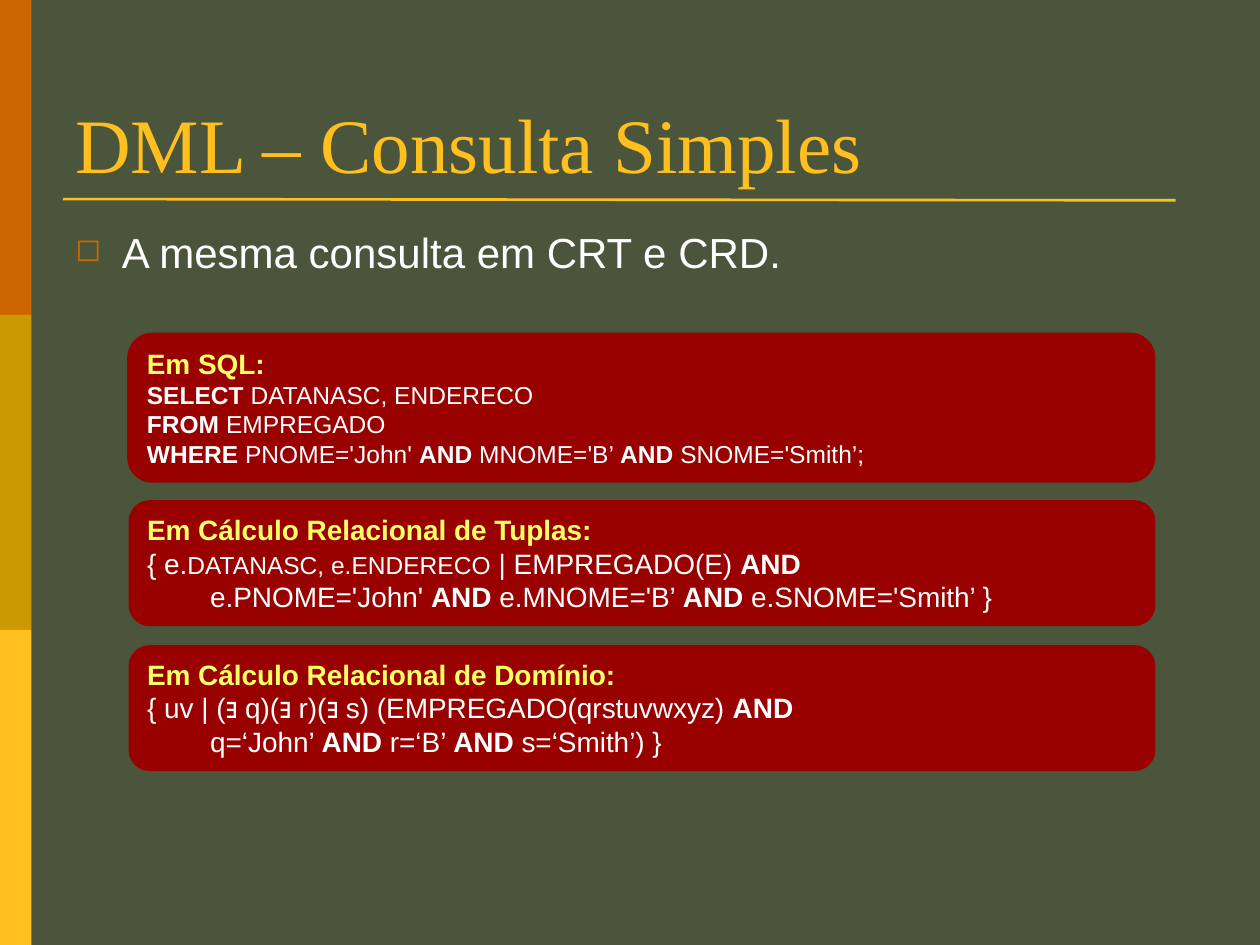
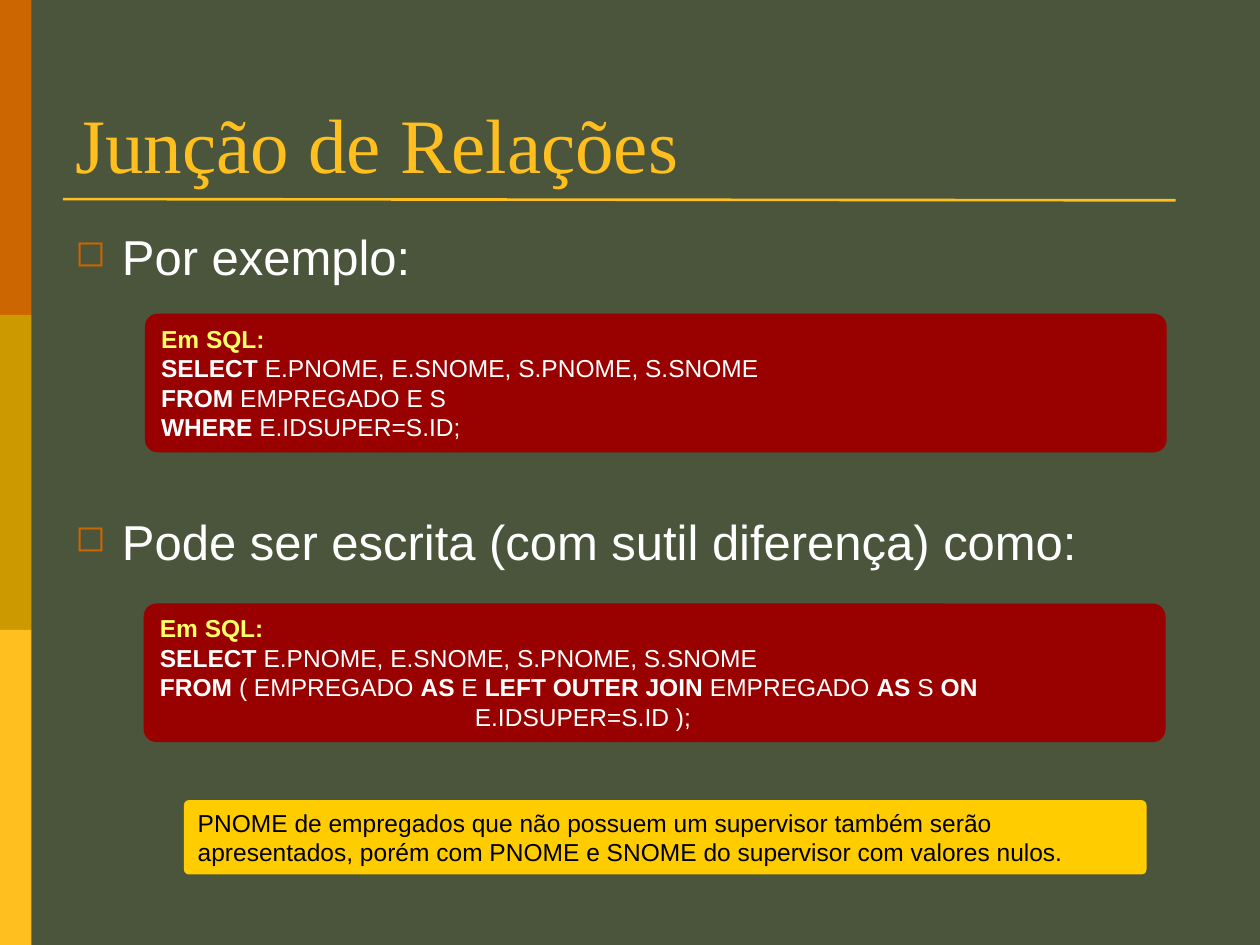
from dataclasses import dataclass
from typing import Any

import pptx
import pptx.dml.color
import pptx.enum.shapes
import pptx.enum.text
import pptx.oxml.ns
import pptx.util
from lxml import etree

Inches = pptx.util.Inches
Pt = pptx.util.Pt
MSO_SHAPE = pptx.enum.shapes.MSO_SHAPE
MSO_ANCHOR = pptx.enum.text.MSO_ANCHOR
qn = pptx.oxml.ns.qn

COLORS = {
    "background": "4A553B",
    "orange": "CC6600",
    "ochre": "CC9900",
    "gold": "FFBF1F",
    "code_box": "990000",
    "heading": "FFFF66",
    "note_box": "FFCC00",
    "white": "FFFFFF",
    "black": "000000",
}
BANDS = ("orange", "ochre", "gold")
BAND_HEIGHT = 2.5
FRAME_FORMAT = {
    "word_wrap": True,
    "margin_left": Inches(0.1),
    "margin_right": Inches(0.1),
    "margin_top": Inches(0.05),
    "margin_bottom": Inches(0.05),
}


@dataclass(frozen=True)
class Line:
    """Text in which * switches bold and ~ switches the small size."""
    text: str
    indent: float = 0


@dataclass(frozen=True)
class Box:
    left: float
    top: float
    width: float
    height: float
    corner: float
    size: int
    lines: tuple[Line, ...]
    heading: str = ""
    fill: str = "code_box"
    color: str = "white"
    code_size: int = 0


@dataclass(frozen=True)
class Bullet:
    text: str
    space_before: int = 0


@dataclass(frozen=True)
class Page:
    title: str
    bullet_size: int
    bullets: tuple[Bullet, ...]
    boxes: tuple[Box, ...]


def rgb(name: str) -> pptx.dml.color.RGBColor:
    return pptx.dml.color.RGBColor.from_string(COLORS[name])


def apply(obj: Any, values: dict[str, Any]) -> None:
    for name, value in values.items():
        setattr(obj, name, value)


def add_run(p: Any, text: str, size: int, color: str,
            bold: bool = False, font: str = "Arial") -> None:
    r = p.add_run()
    r.text = text
    apply(r.font, {"name": font, "size": Pt(size), "bold": bold})
    r.font.color.rgb = rgb(color)


def next_paragraph(tf: Any, index: int) -> Any:
    return tf.add_paragraph() if index else tf.paragraphs[0]


def add_shape(s: Any, kind: Any, left: float, top: float, width: float,
              height: float, fill: str) -> Any:
    sp = s.shapes.add_shape(kind, Inches(left), Inches(top),
                            Inches(width), Inches(height))
    sp.shadow.inherit = False
    sp.fill.solid()
    sp.fill.fore_color.rgb = rgb(fill)
    sp.line.fill.background()
    return sp


def add_text(s: Any, top: float, height: float, anchor: Any) -> Any:
    sp = s.shapes.add_textbox(Inches(0.5), Inches(top), Inches(9), Inches(height))
    apply(sp.text_frame, FRAME_FORMAT | {"vertical_anchor": anchor})
    return sp.text_frame


def add_frame(s: Any) -> None:
    """Background, side bands and the rule under the title."""
    s.background.fill.solid()
    s.background.fill.fore_color.rgb = rgb("background")
    for i, color in enumerate(BANDS):
        add_shape(s, MSO_SHAPE.RECTANGLE, 0, i * BAND_HEIGHT, 0.25, BAND_HEIGHT, color)
    rule = s.shapes.add_connector(pptx.enum.shapes.MSO_CONNECTOR.STRAIGHT,
                                  Inches(0.5), Inches(1.58), Inches(9.33), Inches(1.59))
    rule.line.color.rgb = rgb("gold")
    rule.line.width = Pt(1.5)
    etree.SubElement(rule._element.spPr, qn("a:effectLst"))


def set_bullet(p: Any) -> None:
    pPr = p._p.get_or_add_pPr()
    pPr.set("marL", str(Inches(0.37)))
    pPr.set("indent", str(-Inches(0.37)))
    color = etree.SubElement(pPr, qn("a:buClr"))
    etree.SubElement(color, qn("a:srgbClr"), val=COLORS["orange"])
    etree.SubElement(pPr, qn("a:buSzPct"), val="75000")
    etree.SubElement(pPr, qn("a:buChar"), char="◻")


def add_bullets(s: Any, bullets: tuple[Bullet, ...], size: int) -> None:
    tf = add_text(s, 1.75, 5.39, MSO_ANCHOR.TOP)
    for i, bullet in enumerate(bullets):
        p = next_paragraph(tf, i)
        set_bullet(p)
        if bullet.space_before:
            p.space_before = Pt(bullet.space_before)
        add_run(p, bullet.text, size, "white")


def add_line(p: Any, line: Line, size: int, color: str) -> None:
    if line.indent:
        p._p.get_or_add_pPr().set("marL", str(Inches(line.indent)))
    for i, chunk in enumerate(line.text.split("*")):
        for j, part in enumerate(chunk.split("~")):
            if part:
                add_run(p, part, 14 if j % 2 else size, color, bold=i % 2 == 1)


def add_box(s: Any, box: Box) -> None:
    sp = add_shape(s, MSO_SHAPE.ROUNDED_RECTANGLE, box.left, box.top,
                   box.width, box.height, box.fill)
    sp.adjustments[0] = box.corner
    tf = sp.text_frame
    apply(tf, FRAME_FORMAT | {"vertical_anchor": MSO_ANCHOR.TOP})
    heading = (Line(f"*{box.heading}*"),) if box.heading else ()
    for i, line in enumerate(heading + box.lines):
        p = next_paragraph(tf, i)
        p.alignment = pptx.enum.text.PP_ALIGN.LEFT
        if line in heading:
            add_line(p, line, box.size, "heading")
        else:
            add_line(p, line, box.code_size or box.size, box.color)


def add_page(prs: Any, page: Page) -> None:
    s = prs.slides.add_slide(prs.slide_layouts[6])
    add_frame(s)
    tf = add_text(s, 0.3, 1.25, MSO_ANCHOR.BOTTOM)
    add_run(tf.paragraphs[0], page.title, 44, "gold", font="Times New Roman")
    add_bullets(s, page.bullets, page.bullet_size)
    for box in page.boxes:
        add_box(s, box)


SELECT_NAMES = Line("*SELECT *E.PNOME, E.SNOME, S.PNOME, S.SNOME")

PAGES = (
    Page("DML – Consulta Simples", 24, (Bullet("A mesma consulta em CRT e CRD."),), (
        Box(1.01, 2.64, 8.16, 1.19, 0.167, 16, (
            Line("*SELECT *DATANASC, ENDERECO"),
            Line("*FROM *EMPREGADO"),
            Line("*WHERE* PNOME='John' *AND* MNOME='B’ *AND *SNOME='Smith’;"),
        ), "Em SQL:", code_size=14),
        Box(1.02, 3.97, 8.15, 1, 0.167, 16, (
            Line("{ e.~DATANASC, e.ENDERECO~ | EMPREGADO(E) *AND*"),
            Line("e.PNOME='John' *AND* e.MNOME='B’ *AND *e.SNOME='Smith’ }", 0.5),
        ), "Em Cálculo Relacional de Tuplas:"),
        Box(1.02, 5.12, 8.15, 1, 0.167, 16, (
            Line("{ uv | (∃ q)(∃ r)(∃ s) (EMPREGADO(qrstuvwxyz) *AND*"),
            Line("q=‘John’ *AND* r=‘B’ *AND *s=‘Smith’) }", 0.5),
        ), "Em Cálculo Relacional de Domínio:"),
    )),
    Page("Junção de Relações", 28, (
        Bullet("Por exemplo:"),
        Bullet("Pode ser escrita (com sutil diferença) como:", 129),
    ), (
        Box(1.15, 2.49, 8.11, 1.1, 0.093, 14, (
            SELECT_NAMES,
            Line("*FROM *EMPREGADO E S"),
            Line("*WHERE *E.IDSUPER=S.ID;"),
        ), "Em SQL:"),
        Box(1.14, 4.79, 8.11, 1.1, 0.093, 14, (
            SELECT_NAMES,
            Line("*FROM *( EMPREGADO *AS* E *LEFT OUTER JOIN *EMPREGADO *AS* S *ON*"),
            Line("E.IDSUPER=S.ID );", 2.5),
        ), "Em SQL:"),
        Box(1.46, 6.35, 7.64, 0.59, 0.068, 14, (
            Line("PNOME de empregados que não possuem um supervisor também serão "
                 "apresentados, porém com PNOME e SNOME do supervisor com valores nulos."),
        ), fill="note_box", color="black"),
    )),
)


def main() -> None:
    prs = pptx.Presentation()
    prs.slide_width, prs.slide_height = Inches(10), Inches(7.5)
    for page in PAGES:
        add_page(prs, page)
    prs.save("out.pptx")


if __name__ == "__main__":
    main()
